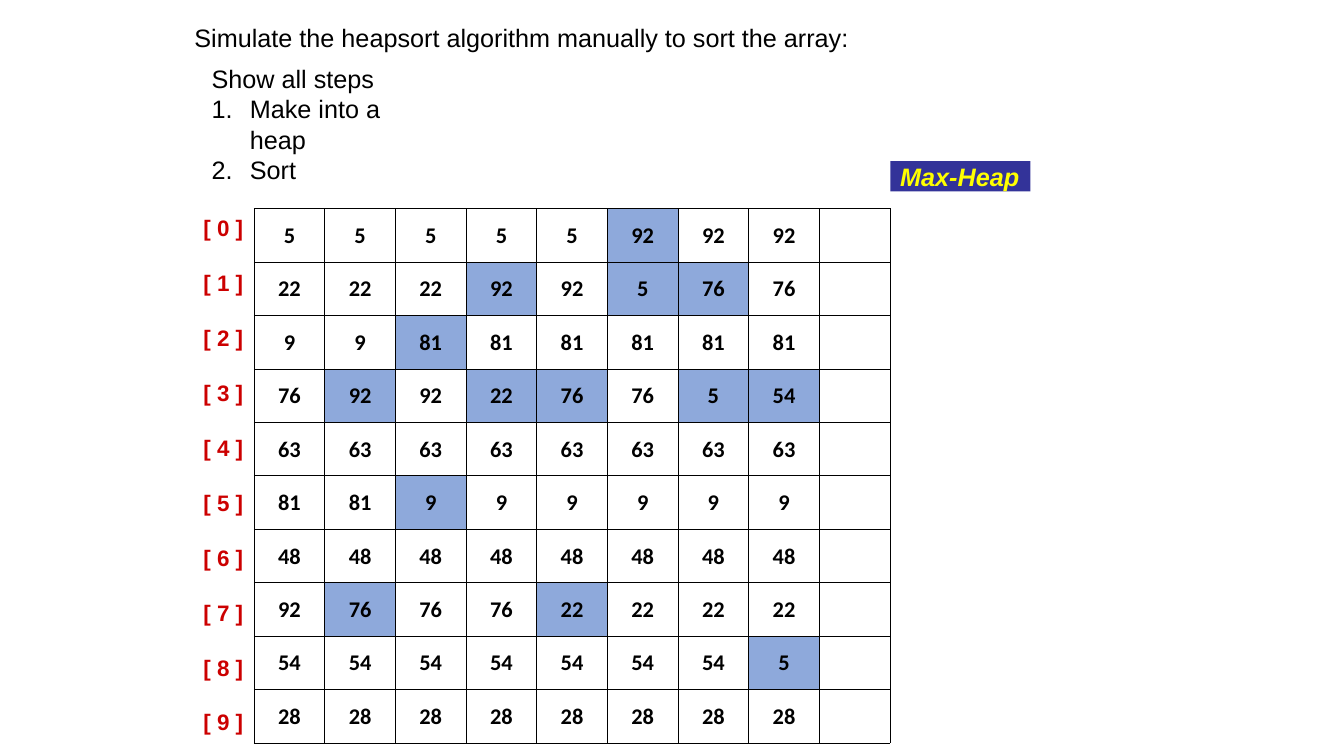
import pptx
import pptx.dml.color
import pptx.enum.shapes
import pptx.enum.text
import pptx.oxml.ns
import pptx.util
from lxml import etree

Inches = pptx.util.Inches
Pt = pptx.util.Pt
RGBColor = pptx.dml.color.RGBColor
qn = pptx.oxml.ns.qn

BLACK = RGBColor(0x00, 0x00, 0x00)
RED = RGBColor(0xCC, 0x00, 0x00)
NAVY = RGBColor(0x33, 0x33, 0x99)
YELLOW = RGBColor(0xFF, 0xFF, 0x00)
SWAPPED_BLUE = RGBColor(0x8E, 0xA9, 0xDB)

START = [5, 22, 9, 76, 63, 81, 48, 92, 54, 28]
SWAPS = [(3, 7), (2, 5), (1, 3), (3, 7), (0, 1), (1, 3), (3, 8)]


def heap_steps(values, swaps):
    """Return the array before the first swap and after each one."""
    steps = [list(values)]
    for a, b in swaps:
        step = list(steps[-1])
        step[a], step[b] = step[b], step[a]
        steps.append(step)
    return steps


class SlideBuilder:
    """Hold the style and the current slide, and add each kind of element."""

    text_font = "Arial"
    table_font = "Calibri"

    def __init__(self, slide):
        self.slide = slide

    def format_text(self, frame, size, color, bold=None, italic=None, font=None):
        for paragraph in frame.paragraphs:
            for run in paragraph.runs:
                run.font.name = font or self.text_font
                run.font.size = Pt(size)
                run.font.bold = bold
                run.font.italic = italic
                run.font.color.rgb = color

    def text(self, box, lines, size=18, color=BLACK, bold=None, gap=0):
        frame = self.slide.shapes.add_textbox(*map(Inches, box)).text_frame
        frame.word_wrap = False
        frame.text = "\n".join(lines)
        for paragraph in frame.paragraphs[1:]:
            paragraph.space_before = Pt(gap)
        self.format_text(frame, size, color, bold)
        return frame

    def numbered(self, box, heading, items, indent=0.38):
        frame = self.text(box, [heading, *items])
        for index, paragraph in enumerate(frame.paragraphs):
            properties = paragraph._p.get_or_add_pPr()
            hang = Inches(indent) if index else 0
            properties.set("marL", str(hang))
            properties.set("indent", str(-hang))
            if index:
                etree.SubElement(properties, qn("a:buAutoNum"), type="arabicPeriod")

    def tag(self, box, label):
        shape = self.slide.shapes.add_shape(
            pptx.enum.shapes.MSO_SHAPE.RECTANGLE, *map(Inches, box))
        shape.shadow.inherit = False
        shape.fill.solid()
        shape.fill.fore_color.rgb = NAVY
        shape.line.fill.background()
        frame = shape.text_frame
        frame.word_wrap = False
        frame.margin_top = frame.margin_bottom = 0
        frame.text = label
        frame.paragraphs[0].alignment = pptx.enum.text.PP_ALIGN.LEFT
        self.format_text(frame, 18, YELLOW, bold=True, italic=True)

    def border(self, cell):
        properties = cell._tc.get_or_add_tcPr()
        for side in ("a:lnL", "a:lnR", "a:lnT", "a:lnB"):
            line = etree.SubElement(properties, qn(side), w=str(Pt(0.5)))
            fill = etree.SubElement(line, qn("a:solidFill"))
            etree.SubElement(fill, qn("a:srgbClr"), val=str(BLACK))

    def cell(self, cell, value, swapped):
        self.border(cell)
        if swapped:
            cell.fill.solid()
            cell.fill.fore_color.rgb = SWAPPED_BLUE
        else:
            cell.fill.background()
        cell.vertical_anchor = pptx.enum.text.MSO_ANCHOR.MIDDLE
        cell.margin_left = cell.margin_right = cell.margin_top = Inches(0.01)
        cell.margin_bottom = 0
        cell.text_frame.text = value
        cell.text_frame.paragraphs[0].alignment = pptx.enum.text.PP_ALIGN.CENTER
        self.format_text(cell.text_frame, 16, BLACK, bold=True, font=self.table_font)

    def steps_table(self, box, steps, spare_columns=1):
        row_count, column_count = len(steps[0]), len(steps) + spare_columns
        table = self.slide.shapes.add_table(
            row_count, column_count, *map(Inches, box)).table
        table.first_row = table.horz_banding = False
        for row in range(row_count):
            for column in range(column_count):
                value, swapped = "", False
                if column < len(steps):
                    value = str(steps[column][row])
                    swapped = column > 0 and steps[column][row] != steps[column - 1][row]
                self.cell(table.cell(row, column), value, swapped)


presentation = pptx.Presentation()
presentation.slide_width = Inches(13.33)
presentation.slide_height = Inches(7.5)
builder = SlideBuilder(presentation.slides.add_slide(presentation.slide_layouts[6]))

builder.text((1.83, 0.17, 6.69, 0.4),
             ["Simulate the heapsort algorithm manually to sort the array:"])
builder.numbered((2, 0.58, 2.49, 1), "Show all steps", ["Make into a heap", "Sort"])
builder.text((1.92, 2.08, 0.6, 5.18), [f"[ {index} ]" for index in range(len(START))],
             size=16, color=RED, bold=True, gap=20)
builder.tag((8.83, 1.6, 1.39, 0.3), "Max-Heap")
builder.steps_table((2.52, 2.07, 6.31, 5.3), heap_steps(START, SWAPS))

presentation.save("out.pptx")
